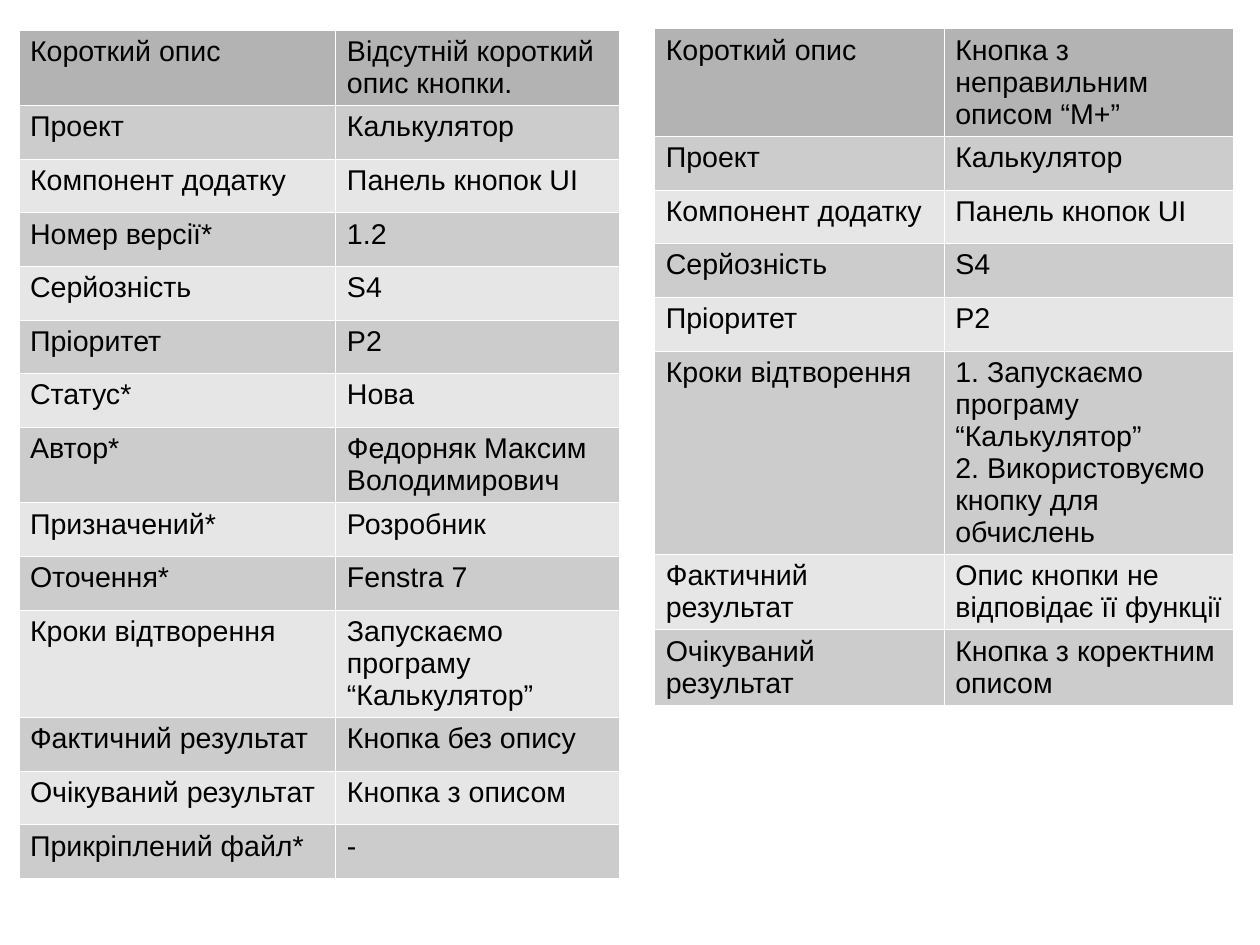
import pptx
import pptx.util
import pptx.dml.color
import pptx.oxml
import pptx.oxml.ns
from pptx.util import Pt

# Content
COLORS = {"header": "B3B3B3", "odd": "CCCCCC", "even": "E6E6E6",
          "text": "000000", "border": "FFFFFF"}

BUTTON_LABEL_BUG = [
    ("Короткий опис", "Кнопка з неправильним описом “М+”"),
    ("Проект", "Калькулятор"),
    ("Компонент додатку", "Панель кнопок UI"),
    ("Серйозність", "S4"),
    ("Пріоритет", "P2"),
    ("Кроки відтворення", "1. Запускаємо програму “Калькулятор”\n"
                          "2. Використовуємо кнопку для обчислень"),
    ("Фактичний результат", "Опис кнопки не відповідає її функції"),
    ("Очікуваний результат", "Кнопка з коректним описом"),
]
MISSING_LABEL_BUG = [
    ("Короткий опис", "Відсутній короткий опис кнопки."),
    ("Проект", "Калькулятор"),
    ("Компонент додатку", "Панель кнопок UI"),
    ("Номер версії*", "1.2"),
    ("Серйозність", "S4"),
    ("Пріоритет", "P2"),
    ("Статус*", "Нова"),
    ("Автор*", "Федорняк Максим Володимирович"),
    ("Призначений*", "Розробник"),
    ("Оточення*", "Fenstra 7"),
    ("Кроки відтворення", "Запускаємо програму “Калькулятор”"),
    ("Фактичний результат", "Кнопка без опису"),
    ("Очікуваний результат", "Кнопка з описом"),
    ("Прикріплений файл*", "-"),
]

# Reports: rows, left, top, column widths, header height (points)
REPORTS = [
    (BUTTON_LABEL_BUG, 412.2, 18, (182.4, 182.4), 44.6),
    (MISSING_LABEL_BUG, 11.7, 18.7, (199.7, 178.6), 47.5),
]
ROW_HEIGHT = 33.8
BORDER_WIDTH = 0.06


def rgb(name):
    return pptx.dml.color.RGBColor.from_string(COLORS[name])


def write(frame, text, size=18, font="Arial", color="text"):
    frame.word_wrap = True
    frame.text = text
    for paragraph in frame.paragraphs:
        for run in paragraph.runs:
            run.font.size = Pt(size)
            run.font.name = font
            run.font.color.rgb = rgb(color)


def add_borders(cell):
    properties = cell._tc.get_or_add_tcPr()
    for position, side in enumerate(("lnL", "lnR", "lnT", "lnB")):
        properties.insert(position, pptx.oxml.parse_xml(
            f'<a:{side} {pptx.oxml.ns.nsdecls("a")} w="{int(Pt(BORDER_WIDTH))}">'
            f'<a:solidFill><a:srgbClr val="{COLORS["border"]}"/></a:solidFill>'
            f'</a:{side}>'))


def add_report(slide, rows, left, top, widths, header_height):
    heights = [header_height] + [ROW_HEIGHT] * (len(rows) - 1)
    table = slide.shapes.add_table(
        len(rows), len(widths), Pt(left), Pt(top),
        Pt(sum(widths)), Pt(sum(heights))).table
    for column, width in zip(table.columns, widths):
        column.width = Pt(width)
    for index, (entry, height) in enumerate(zip(rows, heights)):
        table.rows[index].height = Pt(height)
        shade = "header" if index == 0 else "odd" if index % 2 else "even"
        for cell, text in zip(table.rows[index].cells, entry):
            write(cell.text_frame, text)
            cell.margin_left = cell.margin_right = Pt(7.2)
            cell.margin_top = cell.margin_bottom = Pt(3.6)
            cell.fill.solid()
            cell.fill.fore_color.rgb = rgb(shade)
            add_borders(cell)


def main():
    deck = pptx.Presentation()
    deck.slide_width, deck.slide_height = Pt(793.7), Pt(595.3)
    # Both reports on a blank layout
    slide = deck.slides.add_slide(deck.slide_layouts[6])
    for report in REPORTS:
        add_report(slide, *report)
    deck.save("out.pptx")


if __name__ == "__main__":
    main()
